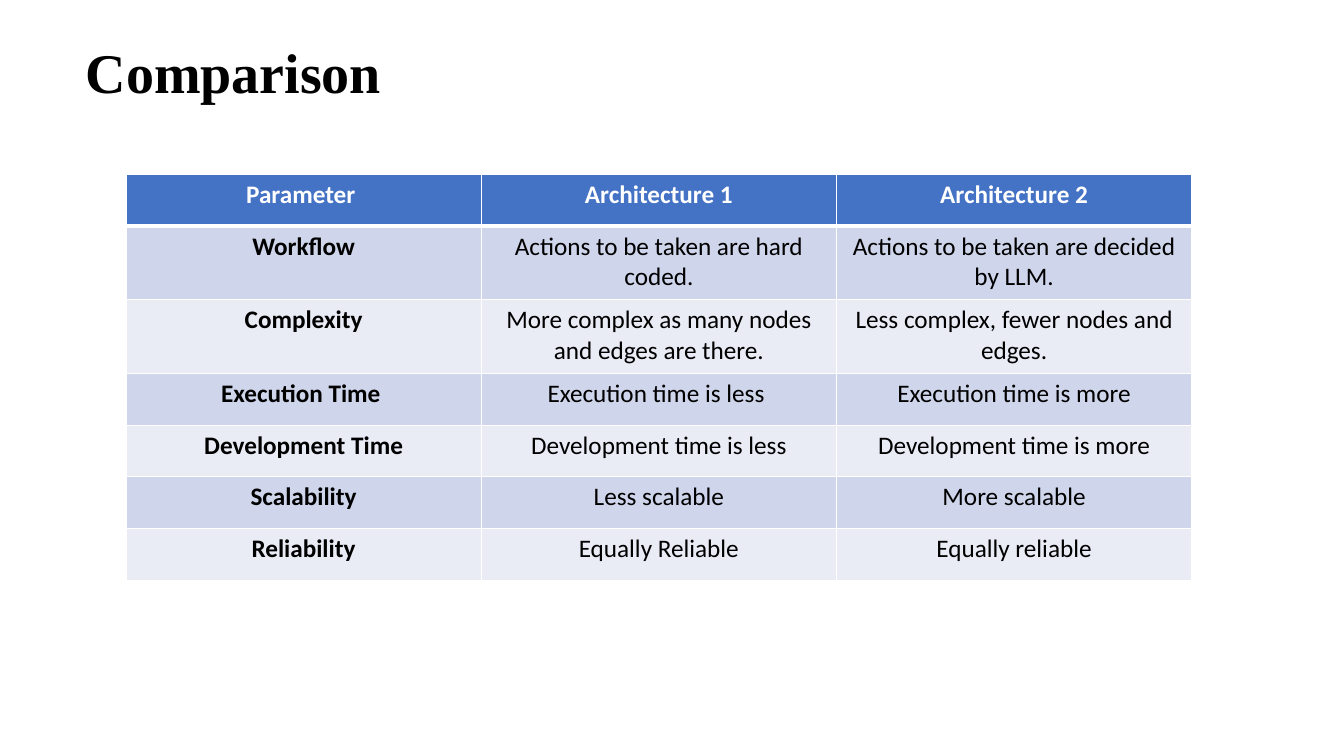
from dataclasses import dataclass

import pptx
import pptx.dml.color
import pptx.enum.text
import pptx.oxml
import pptx.oxml.ns
import pptx.util
from pptx.util import Inches


@dataclass(frozen=True)
class Theme:
    title_font: str = "Times New Roman"
    body_font: str = "Calibri"
    title_size: int = 40
    body_size: int = 18
    text: str = "000000"
    white: str = "FFFFFF"
    header: str = "4472C4"
    bands: tuple = ("CFD5EA", "E9EBF5")
    thin_line: int = 1
    thick_line: int = 3


THEME = Theme()

ROWS = [
    ("Parameter ", "Architecture 1", "Architecture 2"),
    ("Workflow", "Actions to be taken are hard coded.",
     "Actions to be taken are decided by LLM."),
    ("Complexity", "More complex as many nodes and edges are there.",
     "Less complex, fewer nodes and edges."),
    ("Execution Time ", "Execution time is less ", "Execution time is more"),
    ("Development Time", "Development time is less", "Development time is more"),
    ("Scalability", "Less scalable", "More scalable"),
    ("Reliability", "Equally Reliable", "Equally reliable"),
]
TALL_ROWS = (1, 2)  # rows whose text takes two lines


def rgb(color):
    return pptx.dml.color.RGBColor.from_string(color)


def format_paragraph(paragraph, font_name, size, color, bold):
    font = paragraph.font
    font.name, font.size, font.bold = font_name, pptx.util.Pt(size), bold
    font.color.rgb = rgb(color)


def set_borders(cell, top, bottom):
    """Give the cell white borders; widths are in points."""
    properties = cell._tc.get_or_add_tcPr()
    widths = {"L": THEME.thin_line, "R": THEME.thin_line, "T": top, "B": bottom}
    for side, width in widths.items():
        properties.append(pptx.oxml.parse_xml(
            f'<a:ln{side} {pptx.oxml.ns.nsdecls("a")} w="{pptx.util.Pt(width)}">'
            f'<a:solidFill><a:srgbClr val="{THEME.white}"/></a:solidFill>'
            f'</a:ln{side}>'))


def add_title(slide, text, left, top, width, height):
    title = slide.shapes.title
    title.left, title.top, title.width, title.height = left, top, width, height
    frame = title.text_frame
    frame.text = text
    frame.vertical_anchor = pptx.enum.text.MSO_ANCHOR.MIDDLE
    paragraph = frame.paragraphs[0]
    paragraph.alignment = pptx.enum.text.PP_ALIGN.LEFT
    paragraph.line_spacing = 0.9
    format_paragraph(paragraph, THEME.title_font, THEME.title_size, THEME.text, True)


def add_comparison_table(slide, rows, left, top, width, height):
    table = slide.shapes.add_table(
        len(rows), len(rows[0]), left, top, width, height).table
    table.horz_banding = False

    # Equal columns; single-line rows share what the tall rows leave
    for column in table.columns:
        column.width = width // len(rows[0])
    tall = Inches(0.73)
    short = (height - tall * len(TALL_ROWS)) // (len(rows) - len(TALL_ROWS))

    for row_index, texts in enumerate(rows):
        table.rows[row_index].height = tall if row_index in TALL_ROWS else short
        is_header = row_index == 0
        fill = THEME.header if is_header else THEME.bands[(row_index - 1) % 2]
        for column_index, text in enumerate(texts):
            cell = table.cell(row_index, column_index)
            set_borders(cell,
                        top=THEME.thick_line if row_index == 1 else THEME.thin_line,
                        bottom=THEME.thick_line if is_header else THEME.thin_line)
            cell.fill.solid()
            cell.fill.fore_color.rgb = rgb(fill)
            cell.text = text
            paragraph = cell.text_frame.paragraphs[0]
            paragraph.alignment = pptx.enum.text.PP_ALIGN.CENTER
            format_paragraph(paragraph, THEME.body_font, THEME.body_size,
                             THEME.white if is_header else THEME.text,
                             is_header or column_index == 0)


def build_comparison_slide(presentation):
    title_only = presentation.slide_layouts[5]
    slide = presentation.slides.add_slide(title_only)
    add_title(slide, "Comparison",
              Inches(0.75), Inches(0.27), Inches(11.5), Inches(0.95))
    add_comparison_table(slide, ROWS,
                         Inches(1.25), Inches(1.73), Inches(10.57), Inches(4.03))


def main():
    presentation = pptx.Presentation()
    presentation.slide_width = Inches(13.33)
    presentation.slide_height = Inches(7.5)
    build_comparison_slide(presentation)
    presentation.save("out.pptx")


if __name__ == "__main__":
    main()
